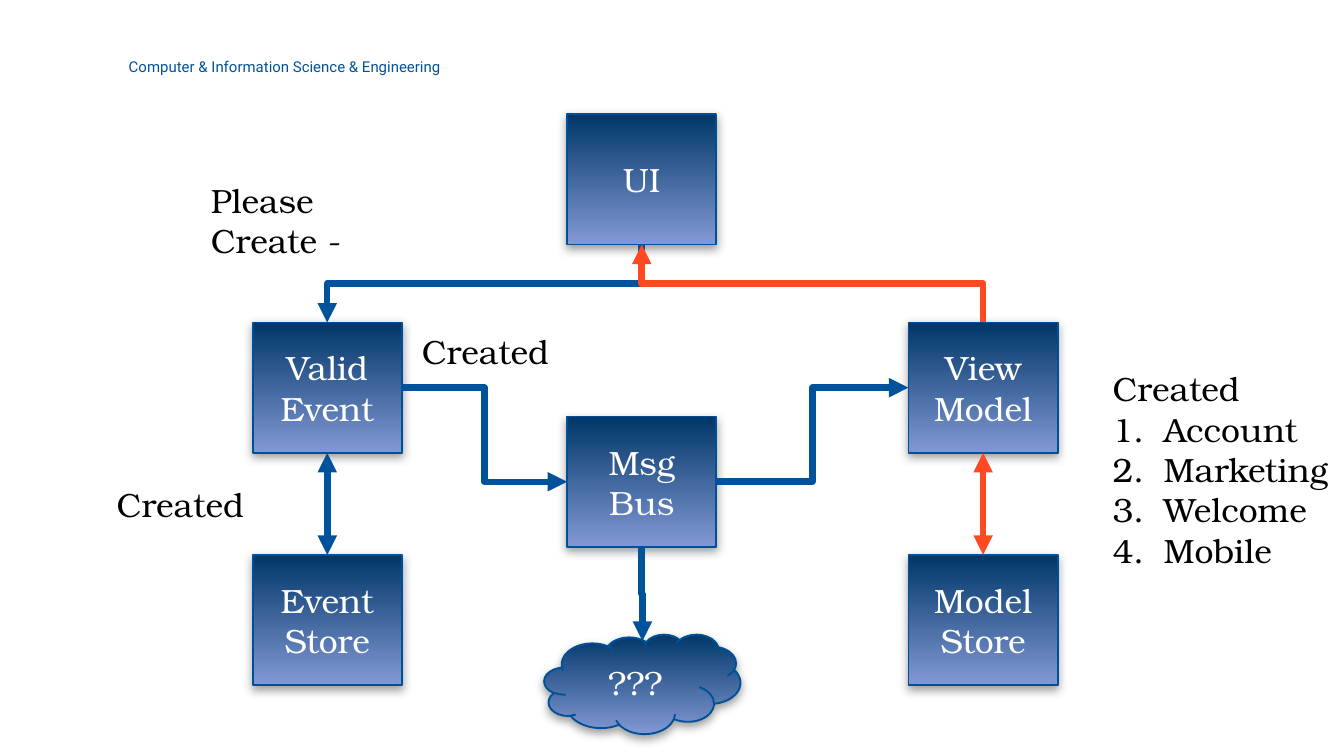
from lxml.etree import SubElement
from pptx import Presentation
from pptx.dml.color import RGBColor
from pptx.enum.shapes import MSO_CONNECTOR as Connector, MSO_SHAPE as Shape
from pptx.enum.text import MSO_ANCHOR as Anchor, PP_ALIGN as Align
from pptx.oxml.ns import qn
from pptx.util import Inches, Pt

COLORS = {name: RGBColor.from_string(value) for name, value in {
    "blue": "00529B", "outline": "005098", "dark": "003768", "light": "8298D5",
    "orange": "FF4A21", "white": "FFFFFF", "black": "000000"}.items()}
FONT = "TeX Gyre Bonum"
BOX_WIDTH, BOX_HEIGHT = 1.11, 0.97

presentation = Presentation()
presentation.slide_width, presentation.slide_height = Inches(10), Inches(10 * 9 / 16)
slide = presentation.slides.add_slide(presentation.slide_layouts[6])


def add_node(kind, text, left, top, width=BOX_WIDTH, height=BOX_HEIGHT):
    """Add a gradient shape with a soft shadow and centred white text."""
    shape = slide.shapes.add_shape(
        kind, Inches(left), Inches(top), Inches(width), Inches(height))
    shape.fill.gradient()
    shape.fill.gradient_angle = 270
    for stop, color in zip(shape.fill.gradient_stops, ("dark", "light")):
        stop.color.rgb = COLORS[color]
    shape.line.color.rgb = COLORS["outline"]
    shape.line.width = Pt(1)
    shape.shadow.inherit = False
    effects = shape.element.spPr.find(qn("a:effectLst"))
    shadow = SubElement(effects, qn("a:outerShdw"), blurRad=str(Pt(5)),
                        dist=str(Pt(2)), dir="5400000", rotWithShape="0")
    shadow_color = SubElement(shadow, qn("a:srgbClr"), val="808080")
    SubElement(shadow_color, qn("a:alpha"), val="75000")
    shape.text_frame.vertical_anchor = Anchor.MIDDLE
    paragraph = shape.text_frame.paragraphs[0]
    paragraph.alignment = Align.CENTER
    run = paragraph.add_run()
    run.text = text
    run.font.name, run.font.size = FONT, Pt(18)
    run.font.color.rgb = COLORS["white"]


def add_arrow(start, end, color="blue", kind=Connector.ELBOW, vertical=False, ends=("tailEnd",)):
    """Add an arrow; a vertical elbow leaves and arrives vertically."""
    (x1, y1), (x2, y2) = start, end
    turn = 1 if y2 > y1 else -1
    if vertical:
        # Ends before the quarter turn about the middle of the arrow
        middle_x, middle_y = (x1 + x2) / 2, (y1 + y2) / 2
        x1, y1, x2, y2 = (middle_x + turn * (y1 - middle_y), middle_y - turn * (x1 - middle_x),
                          middle_x + turn * (y2 - middle_y), middle_y - turn * (x2 - middle_x))
    connector = slide.shapes.add_connector(kind, Inches(x1), Inches(y1), Inches(x2), Inches(y2))
    properties = connector.element.spPr
    if vertical:
        properties.find(qn("a:xfrm")).set("rot", "5400000" if turn == 1 else "16200000")
    connector.line.color.rgb = COLORS[color]
    connector.line.width = Pt(3.5)
    for arrowhead in ends:
        SubElement(properties.find(qn("a:ln")), qn(f"a:{arrowhead}"), type="triangle")
    SubElement(properties, qn("a:effectLst"))


# Boxes on three columns
left_x, middle_x, right_x = 1.88, 4.22, 6.76
ui_y, event_y, bus_y, store_y = 0.85, 2.4, 3.1, 4.13
for text, left, top in [
        ("UI", middle_x, ui_y), ("Valid Event", left_x, event_y),
        ("Event Store", left_x, store_y), ("View Model", right_x, event_y),
        ("Model Store", right_x, store_y), ("Msg Bus", middle_x, bus_y)]:
    add_node(Shape.RECTANGLE, text, left, top)

# Arrows between box edges
left_center, middle_center, right_center = (
    x + BOX_WIDTH / 2 for x in (left_x, middle_x, right_x))
event_center, bus_center = event_y + BOX_HEIGHT / 2, bus_y + BOX_HEIGHT / 2
ui_bottom = (middle_center, ui_y + BOX_HEIGHT)
add_arrow(ui_bottom, (left_center, event_y), vertical=True)
add_arrow((left_x + BOX_WIDTH, event_center), (middle_x, bus_center))
add_arrow((middle_x + BOX_WIDTH, bus_center), (right_x, event_center))
for center, color in ((left_center, "blue"), (right_center, "orange")):
    add_arrow((center, event_y + BOX_HEIGHT), (center, store_y), color,
              vertical=True, ends=("headEnd", "tailEnd"))
add_arrow((right_center, event_y), ui_bottom, "orange", vertical=True)
add_arrow((middle_center, bus_y + BOX_HEIGHT), (4.78, 4.77), vertical=True)
add_node(Shape.CLOUD, "???", 4.05, 4.72, 1.46, 0.74)

# Header and labels; every line after the first is numbered
for lines, left, top, width, height, font, size, color in [
        (["Computer & Information Science & Engineering"], 0.86, 0.38, 5.74, 0.24,
         "Roboto", 8, "blue"),
        (["Please Create -"], 1.47, 1.29, 1.22, 0.71, FONT, 18, "black"),
        (["Created"], 3.04, 2.41, 1.22, 0.4, FONT, 18, "black"),
        (["Created"], 0.77, 3.55, 1.22, 0.4, FONT, 18, "black"),
        (["Created", "Account", "Marketing", "Welcome", "Mobile"],
         8.18, 2.69, 1.82, 1.62, FONT, 18, "black")]:
    text_frame = slide.shapes.add_textbox(
        Inches(left), Inches(top), Inches(width), Inches(height)).text_frame
    text_frame.word_wrap = True
    for index, line in enumerate(lines):
        paragraph = text_frame.add_paragraph() if index else text_frame.paragraphs[0]
        if index:
            properties = paragraph._p.get_or_add_pPr()
            properties.set("marL", str(Inches(0.38)))
            properties.set("indent", str(Inches(-0.38)))
            SubElement(properties, qn("a:buFont"), typeface="+mj-lt")
            SubElement(properties, qn("a:buAutoNum"), type="arabicPeriod")
        run = paragraph.add_run()
        run.text = line
        run.font.name, run.font.size = font, Pt(size)
        run.font.color.rgb = COLORS[color]

presentation.save("out.pptx")
